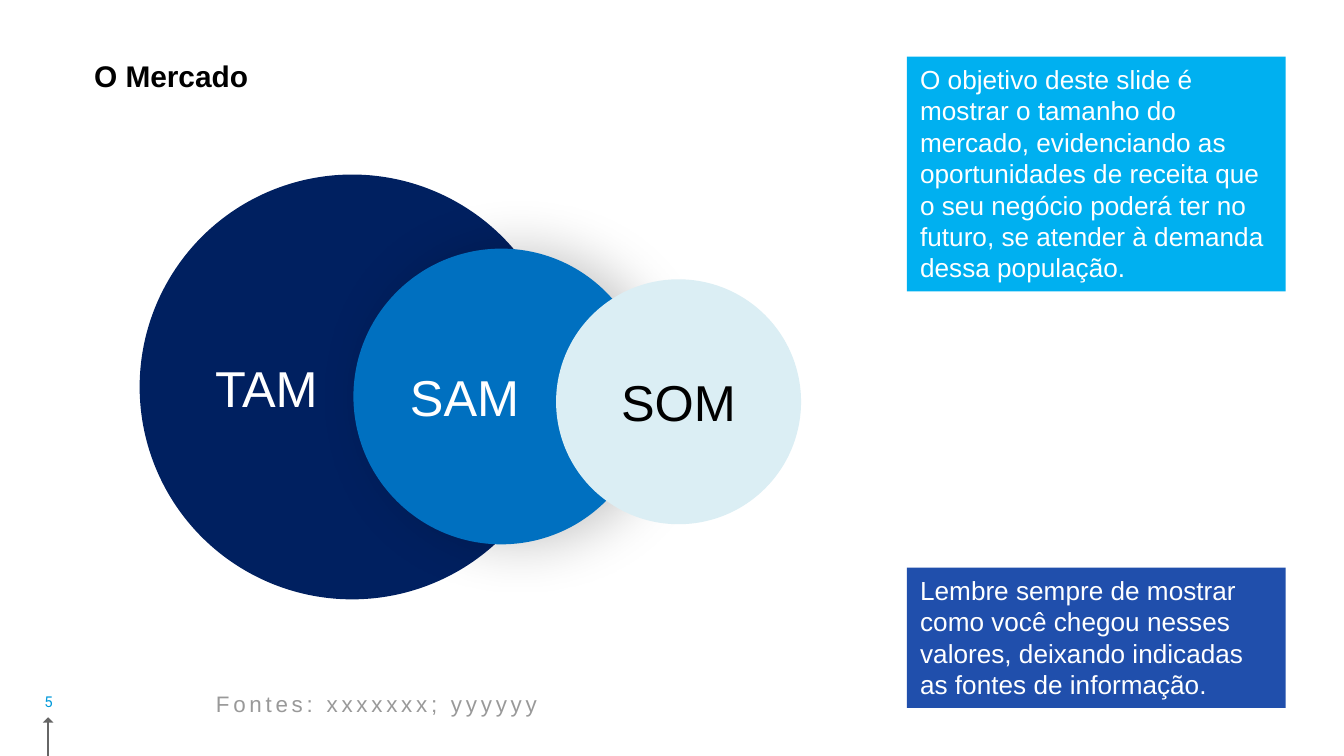
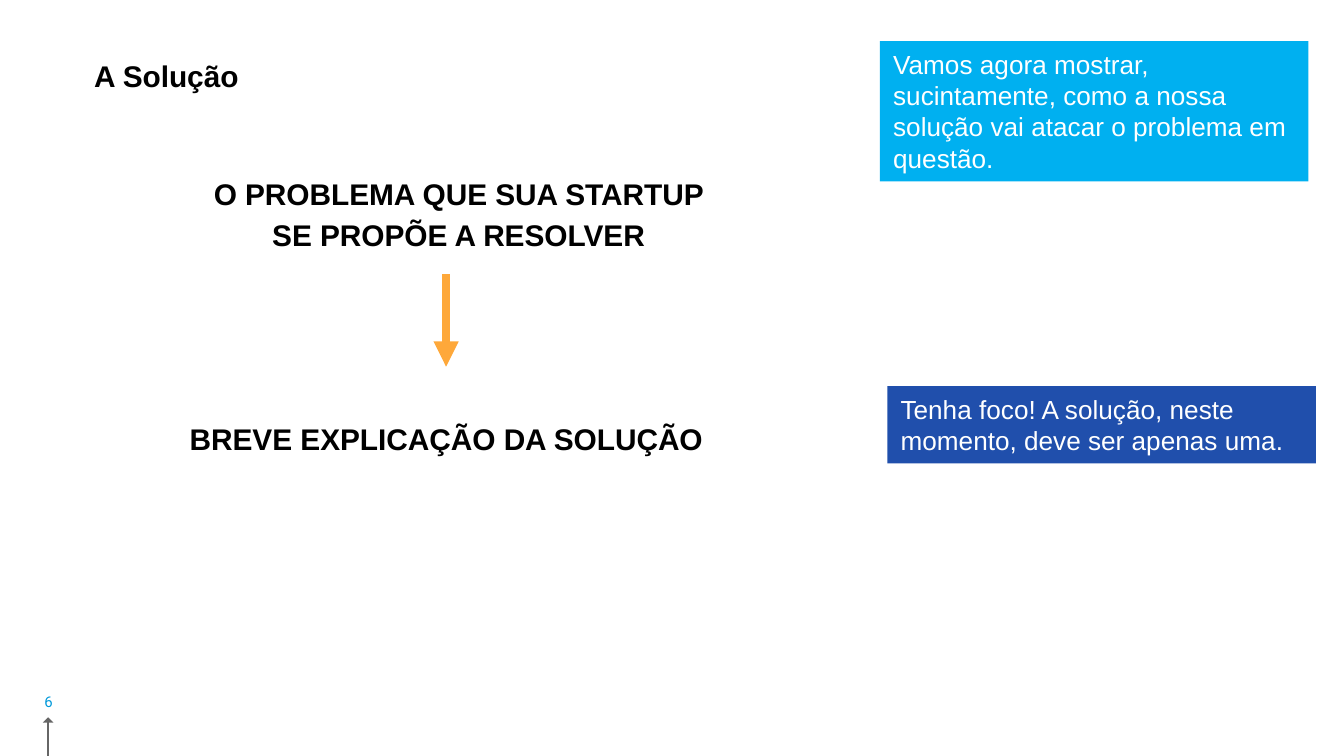
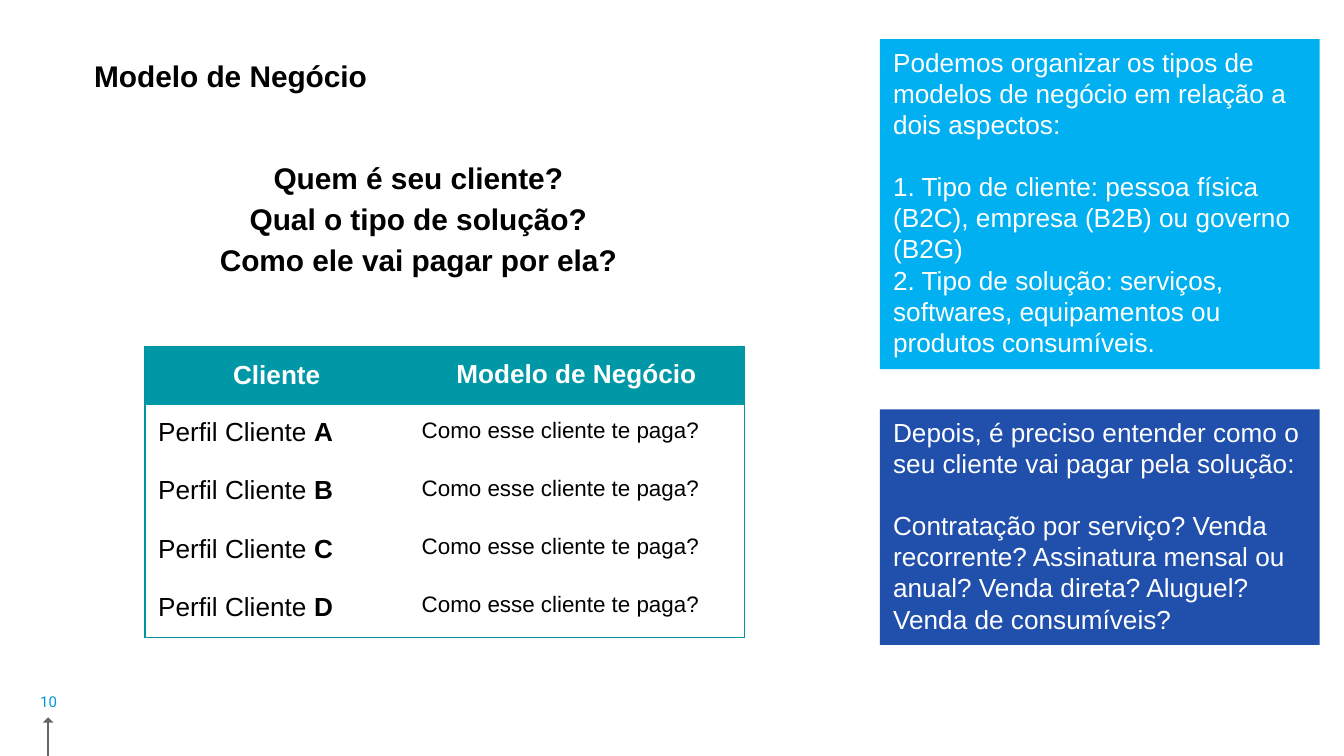
"""Build three pitch slides: market, solution and business model."""
from lxml.etree import SubElement
from pptx import Presentation
from pptx.dml.color import RGBColor
from pptx.enum.shapes import MSO_CONNECTOR, MSO_SHAPE
from pptx.enum.text import MSO_ANCHOR, MSO_AUTO_SIZE, PP_ALIGN
from pptx.oxml.ns import qn
from pptx.util import Cm, Pt

COLORS = {
    "black": "000000", "white": "FFFFFF", "grey": "666666", "source": "999999",
    "number": "0099DA", "tip": "00B0F0", "reminder": "204FAC", "tam": "002060",
    "sam": "0070C0", "som": "DBEEF4", "arrow": "FEA83A", "header": "0097A7",
    "border": "0094A3",
}
RGB = {name: RGBColor.from_string(value) for name, value in COLORS.items()}


def write(sp, lines, size, color="black", bold=False, align=PP_ALIGN.LEFT,
          anchor=MSO_ANCHOR.TOP, inset=0.25, spacing=None, font="Arial"):
    tf = sp.text_frame
    tf.word_wrap = True
    tf.auto_size = MSO_AUTO_SIZE.NONE
    tf.vertical_anchor = anchor
    tf.margin_left = tf.margin_right = Cm(0.25)
    tf.margin_top = tf.margin_bottom = Cm(inset)
    tf.text = "\n".join(lines)
    for p in tf.paragraphs:
        p.alignment = align
        p.line_spacing = spacing
        p.font.name = font
        p.font.size = Pt(size)
        p.font.bold = bold
        p.font.color.rgb = RGB[color]
    return tf


def draw(shapes, kind, box, color):
    sp = shapes.add_shape(kind, *map(Cm, box))
    sp.shadow.inherit = False
    sp.fill.solid()
    sp.fill.fore_color.rgb = RGB[color]
    sp.line.fill.background()
    return sp


prs = Presentation()
prs.slide_width, prs.slide_height = Cm(25.4), Cm(14.29)

pages = [
    ("5", "O Mercado", [
        ("tip", (17.14, 1.07, 7.16, 4.44),
         ["O objetivo deste slide é mostrar o tamanho do mercado, evidenciando as "
          "oportunidades de receita que o seu negócio poderá ter no futuro, se "
          "atender à demanda dessa população."]),
        ("reminder", (17.14, 10.73, 7.16, 2.65),
         ["Lembre sempre de mostrar como você chegou nesses valores, deixando "
          "indicadas as fontes de informação."])]),
    ("6", "A Solução", [
        ("tip", (16.63, 0.78, 8.1, 2.65),
         ["Vamos agora mostrar, sucintamente, como a nossa solução vai atacar o "
          "problema em questão."]),
        ("reminder", (16.77, 7.3, 8.1, 1.46),
         ["Tenha foco! A solução, neste momento, deve ser apenas uma."])]),
    ("10", "Modelo de Negócio", [
        ("tip", (16.63, 0.74, 8.31, 6.24),
         ["Podemos organizar os tipos de modelos de negócio em relação a dois aspectos:",
          "1. Tipo de cliente: pessoa física (B2C), empresa (B2B) ou governo (B2G)",
          "2. Tipo de solução: serviços, softwares, equipamentos ou produtos "
          "consumíveis."]),
        ("reminder", (16.63, 7.74, 8.31, 4.45),
         ["Depois, é preciso entender como o seu cliente vai pagar pela solução:",
          "Contratação por serviço? Venda recorrente? Assinatura mensal ou anual? "
          "Venda direta? Aluguel? Venda de consumíveis?"])]),
]

for number, title, notes in pages:
    s = prs.slides.add_slide(prs.slide_layouts[5])
    sp = s.shapes.title
    sp.left, sp.top, sp.width, sp.height = Cm(1.53), Cm(0.74), Cm(11.73), Cm(0.89)
    write(sp, [title], 16, bold=True, spacing=1.15)

    stem = s.shapes.add_connector(MSO_CONNECTOR.STRAIGHT, Cm(0.91), Cm(14.29), Cm(0.91), Cm(13.59))
    stem.line.color.rgb = RGB["grey"]
    stem.line.width = Pt(0.75)
    SubElement(stem._element.spPr, qn("a:effectLst"))
    draw(s.shapes, MSO_SHAPE.ISOSCELES_TRIANGLE, (0.81, 13.56, 0.2, 0.1), "grey")
    sp = s.shapes.add_textbox(Cm(0.03), Cm(13), Cm(1.78), Cm(0.53))
    write(sp, [number], 8, "number", align=PP_ALIGN.CENTER, anchor=MSO_ANCHOR.MIDDLE, font="Roboto")

    for color, box, lines in notes:
        sp = draw(s.shapes, MSO_SHAPE.RECTANGLE, box, color)
        tf = write(sp, lines, 14, "white", inset=0.13)
        tf.auto_size = MSO_AUTO_SIZE.SHAPE_TO_FIT_TEXT
        for p in tf.paragraphs[1:2]:
            p.space_before = Pt(16)

market, solution, business = prs.slides

circles = market.shapes.add_group_shape().shapes
for label, left, top, size, color, ink, align in [
    ("TAM", 2.64, 3.3, 8.03, "tam", "white", PP_ALIGN.LEFT),
    ("SAM", 6.68, 4.7, 5.59, "sam", "white", PP_ALIGN.LEFT),
    ("SOM", 10.51, 5.28, 4.63, "som", "black", PP_ALIGN.CENTER),
]:
    sp = draw(circles, MSO_SHAPE.OVAL, (left, top, size, size), color)
    write(sp, [label], 27, ink, align=align, anchor=MSO_ANCHOR.MIDDLE)
    if label == "SAM":
        effects = sp._element.spPr.find(qn("a:effectLst"))
        shadow = SubElement(effects, qn("a:outerShdw"), blurRad=str(Pt(30)), dist=str(Pt(10)),
                            dir="0", algn="l", rotWithShape="0")
        tint = SubElement(shadow, qn("a:srgbClr"), val=COLORS["black"])
        SubElement(tint, qn("a:alpha"), val="22000")

sp = market.shapes.add_textbox(Cm(2.84), Cm(12.95), Cm(8.56), Cm(0.69))
tf = write(sp, ["Fontes: xxxxxxx; yyyyyy"], 12, "source", align=PP_ALIGN.CENTER,
           anchor=MSO_ANCHOR.MIDDLE)
tf.paragraphs[0].runs[0]._r.get_or_add_rPr().set("spc", "200")

for s, left, top, lines in [
    (solution, 3.5, 2.97, ["O PROBLEMA QUE SUA STARTUP SE PROPÕE A RESOLVER"]),
    (solution, 3.27, 7.6, ["BREVE EXPLICAÇÃO DA SOLUÇÃO"]),
    (business, 2.74, 2.66, ["Quem é seu cliente?", "Qual o tipo de solução?",
                            "Como ele vai pagar por ela?"]),
]:
    sp = s.shapes.add_textbox(Cm(left), Cm(top), Cm(10.34), Cm(0.89))
    write(sp, lines, 16, bold=True, align=PP_ALIGN.CENTER, spacing=1.15)

arrow = solution.shapes.add_connector(MSO_CONNECTOR.STRAIGHT, Cm(8.43), Cm(5.18), Cm(8.43), Cm(6.93))
arrow.line.color.rgb = RGB["arrow"]
arrow.line.width = Pt(4.5)
SubElement(arrow._element.spPr.find(qn("a:ln")), qn("a:tailEnd"), type="triangle")
SubElement(arrow._element.spPr, qn("a:effectLst"))

rows = [("Cliente", "Modelo de Negócio")]
rows += [("Perfil Cliente ", "Como esse cliente te paga?")] * 4
table = business.shapes.add_table(5, 2, Cm(2.74), Cm(6.55), Cm(11.33), Cm(5.5)).table
table.horz_banding = False
table.columns[0].width, table.columns[1].width = Cm(4.98), Cm(6.35)
for i, row in enumerate(rows):
    for j, text in enumerate(row):
        cell = table.cell(i, j)
        cell.margin_left = cell.margin_right = cell.margin_top = cell.margin_bottom = Cm(0.25)
        cell.vertical_anchor = MSO_ANCHOR.MIDDLE if i == j == 0 else MSO_ANCHOR.TOP
        p = cell.text_frame.paragraphs[0]
        p.alignment = PP_ALIGN.LEFT if i else PP_ALIGN.CENTER
        p.add_run().text = text
        if i and j == 0:
            p.add_run().text = "ABCD"[i - 1]
        for k, r in enumerate(p.runs):
            r.font.name = "Arial"
            r.font.size = Pt(12 if i and j else 14)
            r.font.bold = i == 0 or k == 1
            r.font.color.rgb = RGB["black" if i else "white"]
        tcPr = cell._tc.get_or_add_tcPr()
        for side, outer in [("L", j == 0), ("R", j == 1), ("T", i == 0), ("B", i == 4)]:
            ln = SubElement(tcPr, qn(f"a:ln{side}"), w=str(Pt(0.75)))
            if outer:
                SubElement(SubElement(ln, qn("a:solidFill")), qn("a:srgbClr"), val=COLORS["border"])
            else:
                SubElement(ln, qn("a:noFill"))
        if i:
            cell.fill.background()
        else:
            cell.fill.solid()
            cell.fill.fore_color.rgb = RGB["header"]

prs.save("out.pptx")
